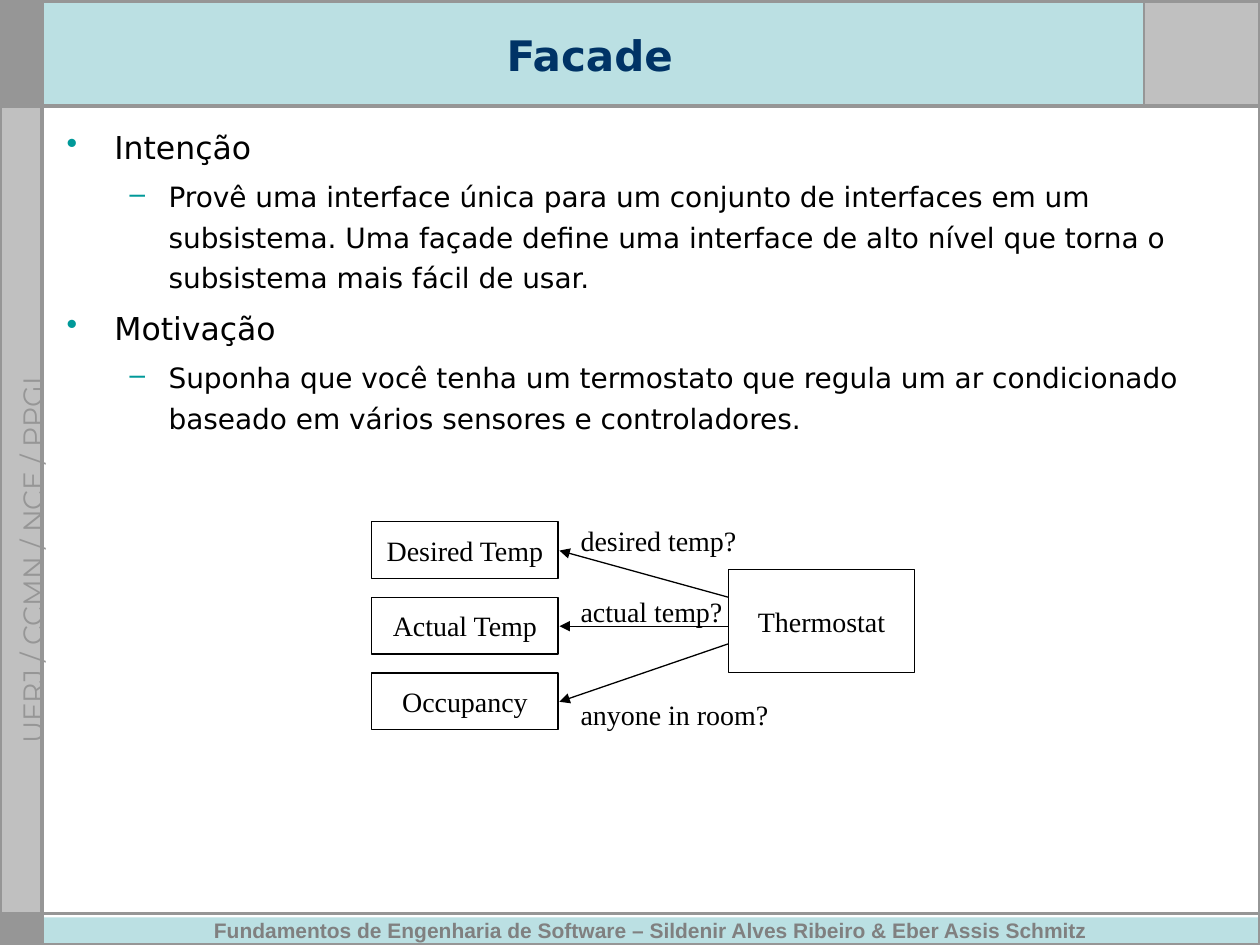
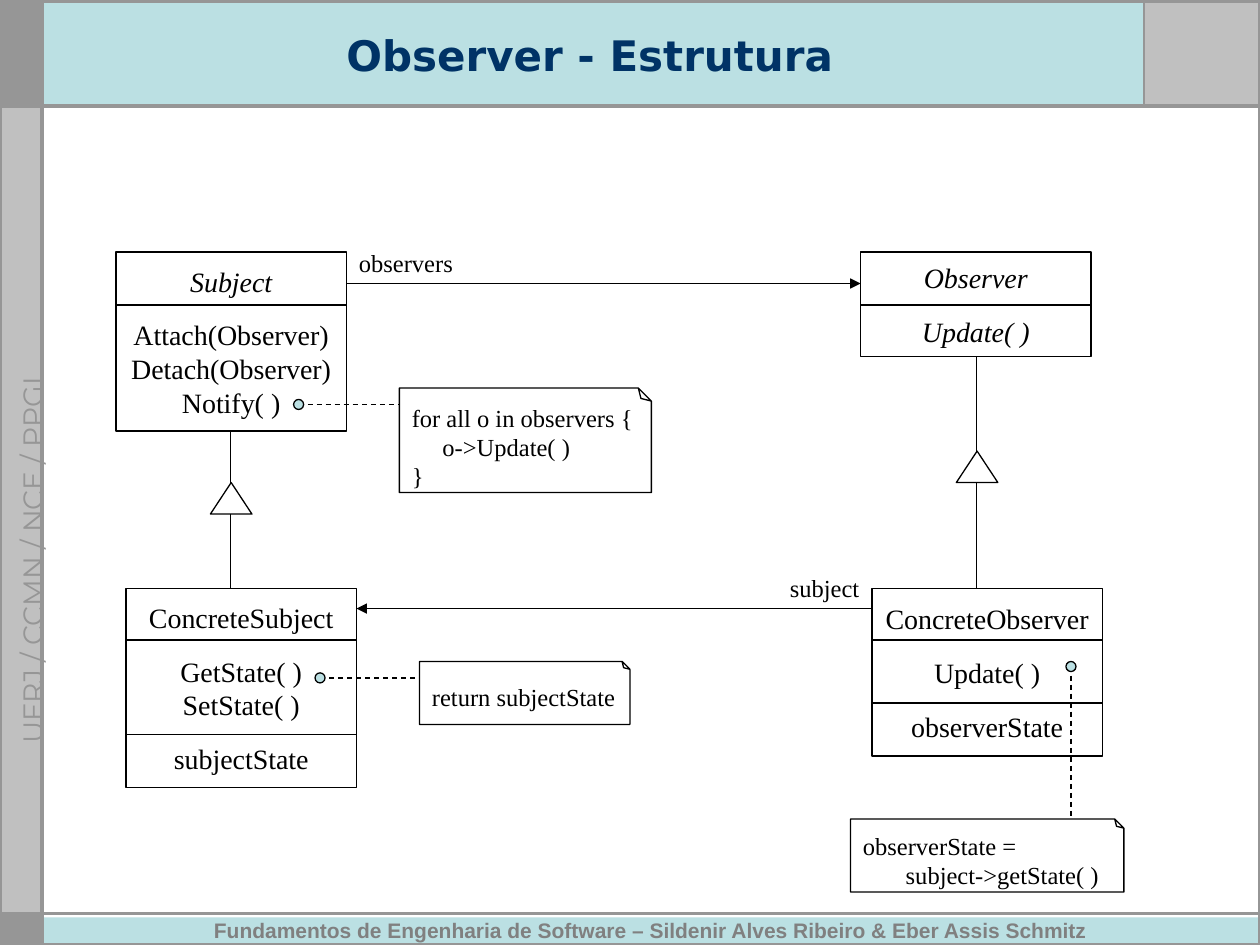
from lxml import etree
from pptx import Presentation
from pptx import util as u
from pptx.dml import color
from pptx.enum import dml, shapes, text
from pptx.oxml import ns

BLACK, WHITE, GREY, SILVER = "000000", "FFFFFF", "969696", "C0C0C0"
AQUA, NAVY, TEAL, FOOTER_GREY = "BBE0E3", "003366", "009999", "808080"
SERIF, SANS = "Times New Roman", "DejaVu Sans"
RECTANGLE = shapes.MSO_SHAPE.RECTANGLE
LEFT, CENTER = text.PP_ALIGN.LEFT, text.PP_ALIGN.CENTER
SECTION_GAP = 11.5
hex_color = color.RGBColor.from_string


def add_box(page, left, top, width, height, words="", kind=RECTANGLE, fill=None,
            line=None, weight=0.75, size=16, font=SERIF, ink=BLACK, bold=False,
            align=CENTER, anchor=text.MSO_ANCHOR.MIDDLE):
    """Add a shape; a blank line in words opens a new compartment of text."""
    box = page.shapes.add_shape(kind, *map(u.Inches, (left, top, width, height)))
    box.shadow.inherit = False
    if fill:
        box.fill.solid()
        box.fill.fore_color.rgb = hex_color(fill)
    else:
        box.fill.background()
    if line:
        box.line.color.rgb = hex_color(line)
        box.line.width = u.Pt(weight)
    else:
        box.line.fill.background()
    if not words:
        return box
    frame = box.text_frame
    frame.word_wrap = False
    frame.vertical_anchor = anchor
    frame.text = words.replace("\n\n", "\n")
    section_starts = set()
    count = 0
    for section in words.split("\n\n"):
        section_starts.add(count)
        count += len(section.split("\n"))
    for index, para in enumerate(frame.paragraphs):
        para.alignment = align
        if index in section_starts - {0}:
            para.space_before = u.Pt(SECTION_GAP)
        for span in para.runs:
            span.font.size = u.Pt(size)
            span.font.name = font
            span.font.bold = bold
            span.font.color.rgb = hex_color(ink)
    return box


def add_line(page, x1, y1, x2, y2, ink=BLACK, weight=0.75, arrow=False, dashed=False):
    line = page.shapes.add_connector(
        shapes.MSO_CONNECTOR.STRAIGHT, *map(u.Inches, (x1, y1, x2, y2)))
    line.line.color.rgb = hex_color(ink)
    line.line.width = u.Pt(weight)
    if dashed:
        line.line.dash_style = dml.MSO_LINE.DASH
    if arrow:
        etree.SubElement(line.line._get_or_add_ln(), ns.qn("a:tailEnd"), type="triangle")
    etree.SubElement(line._element.spPr, ns.qn("a:effectLst"))


deck = Presentation()
deck.slide_width, deck.slide_height = u.Inches(10), u.Inches(7.5)

# Frame, bands, footer and title of every slide
for title in ("Facade", "Observer - Estrutura"):
    page = deck.slides.add_slide(deck.slide_layouts[6])
    add_box(page, 0, 0, 0.35, 0.84, fill=GREY, line=WHITE, weight=1.5)
    add_box(page, 0.33, 0, 9.67, 0.83, fill=AQUA)
    add_box(page, 0, 0.84, 0.33, 6.42, fill=SILVER, line=SILVER)
    add_box(page, 9.08, 0, 0.92, 0.83, fill=SILVER)
    add_box(page, 0.33, 7.28, 9.67, 0.21,
            "Fundamentos de Engenharia de Software – Sildenir Alves Ribeiro & Eber Assis Schmitz",
            fill=AQUA, size=12, font="Arial", ink=FOOTER_GREY, bold=True)
    side_label = add_box(page, -1.84, 3.91, 4, 0.18, "UFRJ / CCMN / NCE / PPGI",
                         font="Montserrat", ink=GREY, align=LEFT,
                         anchor=text.MSO_ANCHOR.TOP)
    side_label.rotation = 270
    add_line(page, 9.08, 0, 9.08, 0.83, GREY, 1)
    add_line(page, 0, 0.84, 10, 0.84, GREY, 2.25)
    add_box(page, 0, 7.26, 0.33, 0.24, fill=GREY, line=GREY)
    add_line(page, 0.33, 0, 0.33, 7.5, GREY, 2.25)
    add_box(page, 0, 0.01, 10, 7.49, line=GREY, weight=2.25)
    add_line(page, 0, 7.25, 10, 7.25, GREY, 2.25)
    add_box(page, 0.42, 0.12, 8.52, 0.62, title, size=24, font=SANS, ink=NAVY, bold=True)

facade, observer = deck.slides

# Facade: bulleted text
topics = [
    (0, "Intenção"),
    (1, "Provê uma interface única para um conjunto de interfaces em um subsistema. "
        "Uma façade define uma interface de alto nível que torna o subsistema mais "
        "fácil de usar."),
    (0, "Motivação"),
    (1, "Suponha que você tenha um termostato que regula um ar condicionado baseado "
        "em vários sensores e controladores."),
]
# margin, indent, bullet, text size, space before
level_styles = [(0.38, -0.38, "•", 18, 4.5), (0.81, -0.31, "–", 16, 4)]
body = add_box(facade, 0.43, 0.91, 9.08, 3.47, "\n".join(words for _, words in topics),
               font=SANS, align=LEFT, anchor=text.MSO_ANCHOR.TOP)
body.text_frame.word_wrap = True
for index, (para, (level, _)) in enumerate(zip(body.text_frame.paragraphs, topics)):
    margin, indent, bullet, size, gap = level_styles[level]
    properties = para._p.get_or_add_pPr()
    properties.set("marL", str(u.Inches(margin)))
    properties.set("indent", str(u.Inches(indent)))
    bullet_color = etree.SubElement(properties, ns.qn("a:buClr"))
    etree.SubElement(bullet_color, ns.qn("a:srgbClr"), val=TEAL)
    etree.SubElement(properties, ns.qn("a:buChar"), char=bullet)
    para.level = level
    para.line_spacing = 1.2
    if index:
        para.space_before = u.Pt(gap)
    para.runs[0].font.size = u.Pt(size)

# Facade: thermostat asking its three sources
sources = [
    ("Desired Temp", "desired temp?", 4.74, 4.11, 1.43),
    ("Actual Temp", "actual temp?", 4.97, 4.67, 1.32),
    ("Occupancy", "anyone in room?", 5.11, 5.49, 1.69),
]
add_box(facade, 5.78, 4.52, 1.48, 0.82, "Thermostat", line=BLACK)
for row, (source, question, start_y, label_y, label_width) in enumerate(sources):
    top = 4.14 + 0.6 * row
    add_box(facade, 2.95, top, 1.48, 0.45, source, line=BLACK)
    add_line(facade, 5.78, start_y, 4.44, top + 0.23, arrow=True)
    add_box(facade, 4.51, label_y, label_width, 0.37, question, align=LEFT,
            anchor=text.MSO_ANCHOR.TOP)

# Observer: classes as left, top, height, text, divider heights, italic lines
classes = [
    (0.92, 2, 1.42, "Subject\n\nAttach(Observer)\nDetach(Observer)\nNotify( )", [2.42], 1),
    (1, 4.67, 1.58, "ConcreteSubject\n\nGetState( )\nSetState( )\n\nsubjectState",
     [5.08, 5.83], 0),
    (6.83, 2, 0.83, "Observer\n\nUpdate( )", [2.42], 2),
    (6.92, 4.67, 1.33, "ConcreteObserver\n\nUpdate( )\n\nobserverState", [5.08, 5.58], 0),
]
for left, top, height, words, dividers, italic_lines in classes:
    class_box = add_box(observer, left, top, 1.83, height, words, line=BLACK)
    for para in class_box.text_frame.paragraphs[:italic_lines]:
        para.runs[0].font.italic = True
    for y in dividers:
        add_line(observer, left, y, left + 1.83, y)

# Inheritance: centre, parent bottom, triangle top
for x, parent_y, triangle_y in [(1.83, 3.42, 3.83), (7.75, 2.83, 3.58)]:
    add_box(observer, x - 0.16, triangle_y, 0.33, 0.25, line=BLACK,
            kind=shapes.MSO_SHAPE.ISOSCELES_TRIANGLE)
    add_line(observer, x, parent_y, x, triangle_y)
    add_line(observer, x, triangle_y + 0.25, x, 4.67)

# Notes: position and size, code, dot centre, end of the dashed line
notes = [
    (3.17, 3.08, 2, 0.83, "for all o in observers {\n     o->Update( )\n}",
     (2.37, 3.21), (3.17, 3.21)),
    (3.33, 5.25, 1.67, 0.5, "return subjectState", (2.54, 5.38), (3.33, 5.38)),
    (6.75, 6.5, 2.17, 0.58, "observerState =\n       subject->getState( )",
     (8.5, 5.29), (8.5, 6.5)),
]
for left, top, width, height, code, (dot_x, dot_y), note_end in notes:
    note = add_box(observer, left, top, width, height, code, line=BLACK, size=14,
                   kind=shapes.MSO_SHAPE.FOLDED_CORNER, align=LEFT)
    # The fold belongs at the top: flip the outline and turn the text back
    outline = note._element.spPr
    fold_values = outline.find(ns.qn("a:prstGeom")).get_or_add_avLst()
    etree.SubElement(fold_values, ns.qn("a:gd"), name="adj", fmla="val 12500")
    outline.find(ns.qn("a:xfrm")).set("flipV", "1")
    note.text_frame._txBody.find(ns.qn("a:bodyPr")).set("rot", "10800000")
    add_line(observer, dot_x, dot_y, *note_end, dashed=True)
    add_box(observer, dot_x - 0.04, dot_y - 0.04, 0.08, 0.08, fill=AQUA, line=BLACK,
            kind=shapes.MSO_SHAPE.OVAL)

# Associations
add_line(observer, 2.75, 2.25, 6.83, 2.25, arrow=True)
add_line(observer, 6.92, 4.83, 2.83, 4.83, arrow=True)
for left, top, width, role in [(2.75, 1.92, 0.94, "observers"), (6.17, 4.5, 0.75, "subject")]:
    add_box(observer, left, top, width, 0.34, role, size=14, align=LEFT,
            anchor=text.MSO_ANCHOR.TOP)

deck.save("out.pptx")
